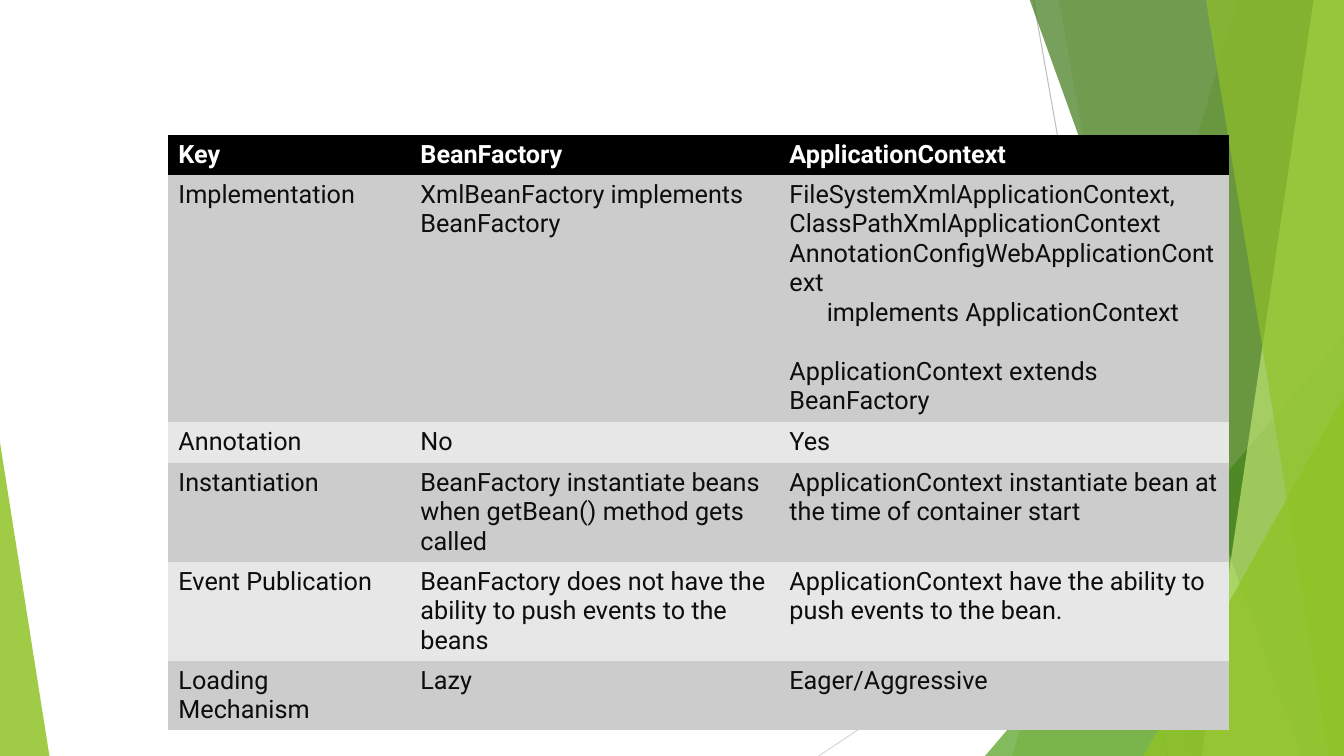
from lxml.etree import SubElement
from pptx import Presentation
from pptx.dml.color import RGBColor
from pptx.enum.shapes import MSO_CONNECTOR, MSO_SHAPE
from pptx.oxml.ns import qn
from pptx.util import Inches, Pt

WHITE = RGBColor(0xFF, 0xFF, 0xFF)
BLACK = RGBColor(0x00, 0x00, 0x00)
INK = RGBColor(0x0D, 0x0D, 0x0D)
DARK_BAND = RGBColor(0xCC, 0xCC, 0xCC)
LIGHT_BAND = RGBColor(0xE7, 0xE7, 0xE7)
MID_GREY = RGBColor(0xBF, 0xBF, 0xBF)
PALE_GREY = RGBColor(0xD9, 0xD9, 0xD9)
LIME = RGBColor(0x90, 0xC2, 0x26)
GREEN = RGBColor(0x54, 0xA0, 0x21)
FOREST = RGBColor(0x3F, 0x78, 0x19)
PALE_LIME = RGBColor(0xC0, 0xE4, 0x74)

WIDTH, HEIGHT, TOP = 13.33, 7.5, -0.01
NO_STYLE = "{2D5ABB26-0587-4C30-8999-92F81FD0307C}"

deck = Presentation()
deck.slide_width, deck.slide_height = Inches(WIDTH), Inches(HEIGHT)
slide = deck.slides.add_slide(deck.slide_layouts[6])
shapes = slide.shapes


def tint(shape, color, opacity):
    shape.shadow.inherit = False
    shape.line.fill.background()
    shape.fill.solid()
    shape.fill.fore_color.rgb = color
    color_node = shape._element.spPr.find(".//" + qn("a:srgbClr"))
    SubElement(color_node, qn("a:alpha")).set("val", str(opacity * 1000))


for x1, y1, x2, y2, color in [
    (10.25, 0, 11.58, HEIGHT, MID_GREY),
    (WIDTH, 4.03, 8.12, HEIGHT, PALE_GREY),
]:
    ray = shapes.add_connector(
        MSO_CONNECTOR.STRAIGHT, Inches(x1), Inches(y1), Inches(x2), Inches(y2))
    ray.line.color.rgb = color
    ray.line.width = Pt(0.75)
    SubElement(ray._element.spPr, qn("a:effectLst"))

facets = [
    ("band", 12.28, 10.04, LIME, 30),
    ("band", 10.5, 11.83, LIME, 20),
    ("peak", (9.77, 3.33, 3.56, 4.17), 1, GREEN, 72),
    ("band", 10.21, 12.91, FOREST, 70),
    ("band", 13.03, 11.92, PALE_LIME, 70),
    ("band", 11.96, 13.18, LIME, 65),
    ("peak", (11.34, 3.93, 1.99, 3.57), 1, LIME, 80),
    ("peak", (0, 4.39, 0.49, 3.11), 0, LIME, 85),
]
for kind, start, end, color, opacity in facets:
    if kind == "band":
        outline = shapes.build_freeform(Inches(start), Inches(TOP))
        outline.add_line_segments([
            (Inches(x), Inches(y))
            for x, y in [(WIDTH, TOP), (WIDTH, HEIGHT), (end, HEIGHT)]
        ], close=True)
        facet = outline.convert_to_shape()
    else:
        facet = shapes.add_shape(
            MSO_SHAPE.ISOSCELES_TRIANGLE, *[Inches(v) for v in start])
        facet.adjustments[0] = end
    tint(facet, color, opacity)

comparison = [
    ("Key", "BeanFactory", "ApplicationContext"),
    ("Implementation", "XmlBeanFactory implements BeanFactory",
     "FileSystemXmlApplicationContext,\n"
     "ClassPathXmlApplicationContext\n"
     "AnnotationConfigWebApplicationContext\n"
     "implements ApplicationContext\n"
     "ApplicationContext extends BeanFactory"),
    ("Annotation", "No", "Yes"),
    ("Instantiation",
     "BeanFactory instantiate beans when getBean() method gets called",
     "ApplicationContext instantiate bean at the time of container start"),
    ("Event Publication",
     "BeanFactory does not have the ability to push events to the beans",
     "ApplicationContext have the ability to push events to the bean."),
    ("Loading Mechanism", "Lazy", "Eager/Aggressive"),
]
column_widths = [2.4, 3.66, 4.46]
row_heights = [0.39, 2.45, 0.41, 0.98, 0.98, 0.69]

table = shapes.add_table(
    len(row_heights), len(column_widths), Inches(1.67), Inches(1.34),
    Inches(sum(column_widths)), Inches(sum(row_heights))).table
table.horz_banding = False
table._tbl.tblPr.find(qn("a:tableStyleId")).text = NO_STYLE
for column, width in zip(table.columns, column_widths):
    column.width = Inches(width)

for index, (row, height, entries) in enumerate(
        zip(table.rows, row_heights, comparison)):
    row.height = Inches(height)
    header = index == 0
    band = BLACK if header else DARK_BAND if index % 2 else LIGHT_BAND
    text_format = {"name": "Roboto", "size": Pt(18), "bold": header}
    for cell, entry in zip(row.cells, entries):
        cell.fill.solid()
        cell.fill.fore_color.rgb = band
        cell.text = entry
        for paragraph in cell.text_frame.paragraphs:
            font = paragraph.runs[0].font
            for attribute, value in text_format.items():
                setattr(font, attribute, value)
            font.color.rgb = WHITE if header else INK

implementers = table.cell(1, 2).text_frame.paragraphs
implementers[3]._p.get_or_add_pPr().set("marL", str(Inches(0.37)))
implementers[4].space_before = Pt(21)

deck.save("out.pptx")
